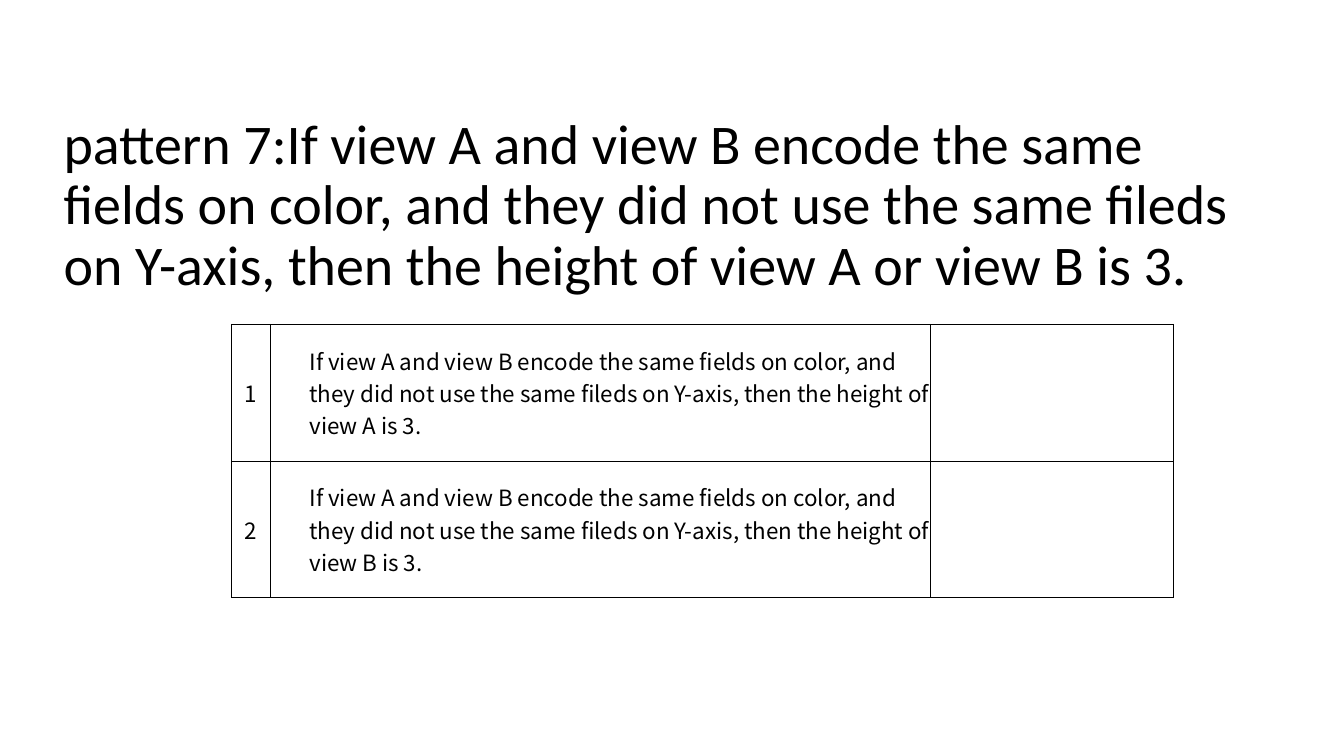
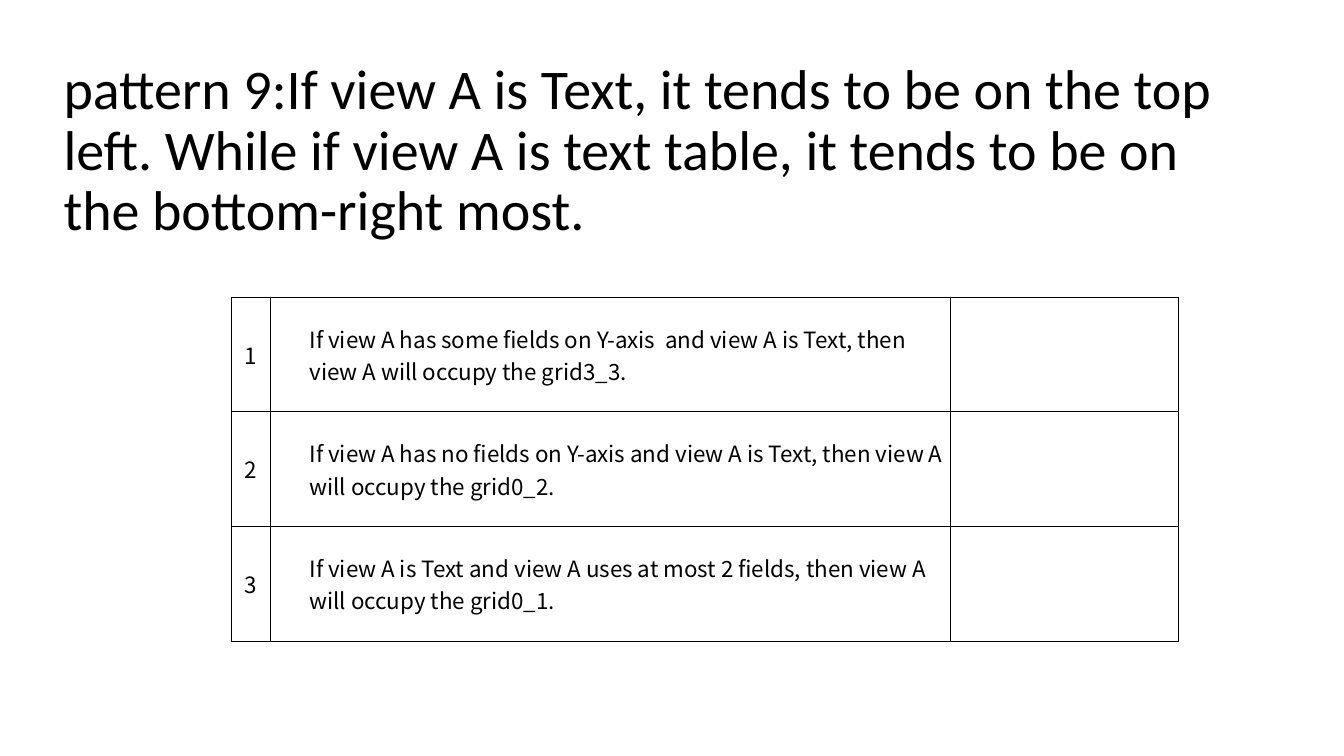
from lxml import etree
from pptx import Presentation
from pptx.dml.color import RGBColor
from pptx.enum.text import MSO_ANCHOR, MSO_AUTO_SIZE, PP_ALIGN
from pptx.oxml.ns import qn
from pptx.util import Pt

LEFT, CENTER = PP_ALIGN.LEFT, PP_ALIGN.CENTER
MIDDLE, BOTTOM = MSO_ANCHOR.MIDDLE, MSO_ANCHOR.BOTTOM
NO_FIT = MSO_AUTO_SIZE.NONE

COLORS = {"text": "000000", "border": "000000"}
TITLE_FONT, TABLE_FONT = "Calibri", "Noto Sans CJK SC"
TITLE_LAYOUT = 5
TITLE_LEFT, TITLE_WIDTH, TITLE_HEIGHT = 38.2, 866.2, 116
TABLE_LEFT, NUMBER_WIDTH = 165.6, 27.4
RULE_INDENT = 28.1
BORDER_WIDTH = 0.75

SAME_COLOR = ("If view A and view B encode the same fields on color, "
              "and they did not use the same fileds on Y-axis, "
              "then the height of view ")

PATTERNS = [
    {
        "title": f"pattern 7:{SAME_COLOR}A or view B is 3.",
        "title_top": 100,
        "table_top": 231.6,
        "rule_width": 471.4,
        "blank_width": 174.2,
        "row_height": 97.7,
        "rules": [f"{SAME_COLOR}{view} is 3." for view in "AB"],
    },
    {
        "title": "pattern 9:If view A is Text, it tends to be on the top left. "
                 "While if view A is text table, it tends to be on  "
                 "the bottom-right most.",
        "title_top": 61.2,
        "table_top": 212.2,
        "rule_width": 486.2,
        "blank_width": 162.4,
        "row_height": 82,
        "rules": [
            "If view A has some fields on Y-axis  and view A is Text, "
            "then view A will occupy the grid3_3.",
            "If view A has no fields on Y-axis and view A is Text, "
            "then view A will occupy the grid0_2.",
            "If view A is Text and view A uses at most 2 fields, "
            "then view A will occupy the grid0_1.",
        ],
    },
]


def set_font(p, name, size):
    p.font.name = name
    p.font.size = Pt(size)
    p.font.color.rgb = RGBColor.from_string(COLORS["text"])


def add_title(slide, text, top):
    title = slide.shapes.title
    title.left, title.top = Pt(TITLE_LEFT), Pt(top)
    title.width, title.height = Pt(TITLE_WIDTH), Pt(TITLE_HEIGHT)
    tf = title.text_frame
    tf.text = text
    tf.word_wrap = True
    tf.auto_size = NO_FIT
    tf.vertical_anchor = BOTTOM
    p = tf.paragraphs[0]
    p.alignment = LEFT
    p.line_spacing = 0.9
    set_font(p, TITLE_FONT, 40)


def set_borders(cell):
    """Line all four sides; the schema wants the lines ahead of the fill."""
    tc_pr = cell._tc.get_or_add_tcPr()
    for i, side in enumerate(("a:lnL", "a:lnR", "a:lnT", "a:lnB")):
        ln = etree.Element(qn(side), w=str(Pt(BORDER_WIDTH)))
        fill = etree.SubElement(ln, qn("a:solidFill"))
        etree.SubElement(fill, qn("a:srgbClr"), val=COLORS["border"])
        tc_pr.insert(i, ln)


def format_cell(cell):
    cell.margin_left = cell.margin_right = 0
    cell.margin_top = cell.margin_bottom = 0
    cell.vertical_anchor = MIDDLE
    cell.fill.background()
    set_borders(cell)


def write_cell(cell, text, align, indent=0):
    cell.text = text
    p = cell.text_frame.paragraphs[0]
    p.alignment = align
    p_pr = p._p.get_or_add_pPr()
    p_pr.set("marL", str(Pt(indent)))
    p_pr.set("indent", "0")
    set_font(p, TABLE_FONT, 16)


def add_rule_table(slide, rules, top, widths, row_height):
    """Numbered rules, with an empty last column."""
    frame = slide.shapes.add_table(
        len(rules), len(widths), Pt(TABLE_LEFT), Pt(top),
        Pt(sum(widths)), Pt(row_height * len(rules)))
    table = frame.table
    table.first_row = table.horz_banding = False
    for column, width in zip(table.columns, widths):
        column.width = Pt(width)
    for i, rule in enumerate(rules):
        table.rows[i].height = Pt(row_height)
        for cell in table.rows[i].cells:
            format_cell(cell)
        write_cell(table.cell(i, 0), str(i + 1), CENTER)
        write_cell(table.cell(i, 1), rule, LEFT, RULE_INDENT)


def add_pattern_slide(prs, pattern):
    slide = prs.slides.add_slide(prs.slide_layouts[TITLE_LAYOUT])
    add_title(slide, pattern["title"], pattern["title_top"])
    widths = (NUMBER_WIDTH, pattern["rule_width"], pattern["blank_width"])
    add_rule_table(slide, pattern["rules"], pattern["table_top"], widths,
                   pattern["row_height"])


def main():
    prs = Presentation()
    prs.slide_width, prs.slide_height = Pt(960), Pt(540)
    for pattern in PATTERNS:
        add_pattern_slide(prs, pattern)
    prs.save("out.pptx")


if __name__ == "__main__":
    main()
